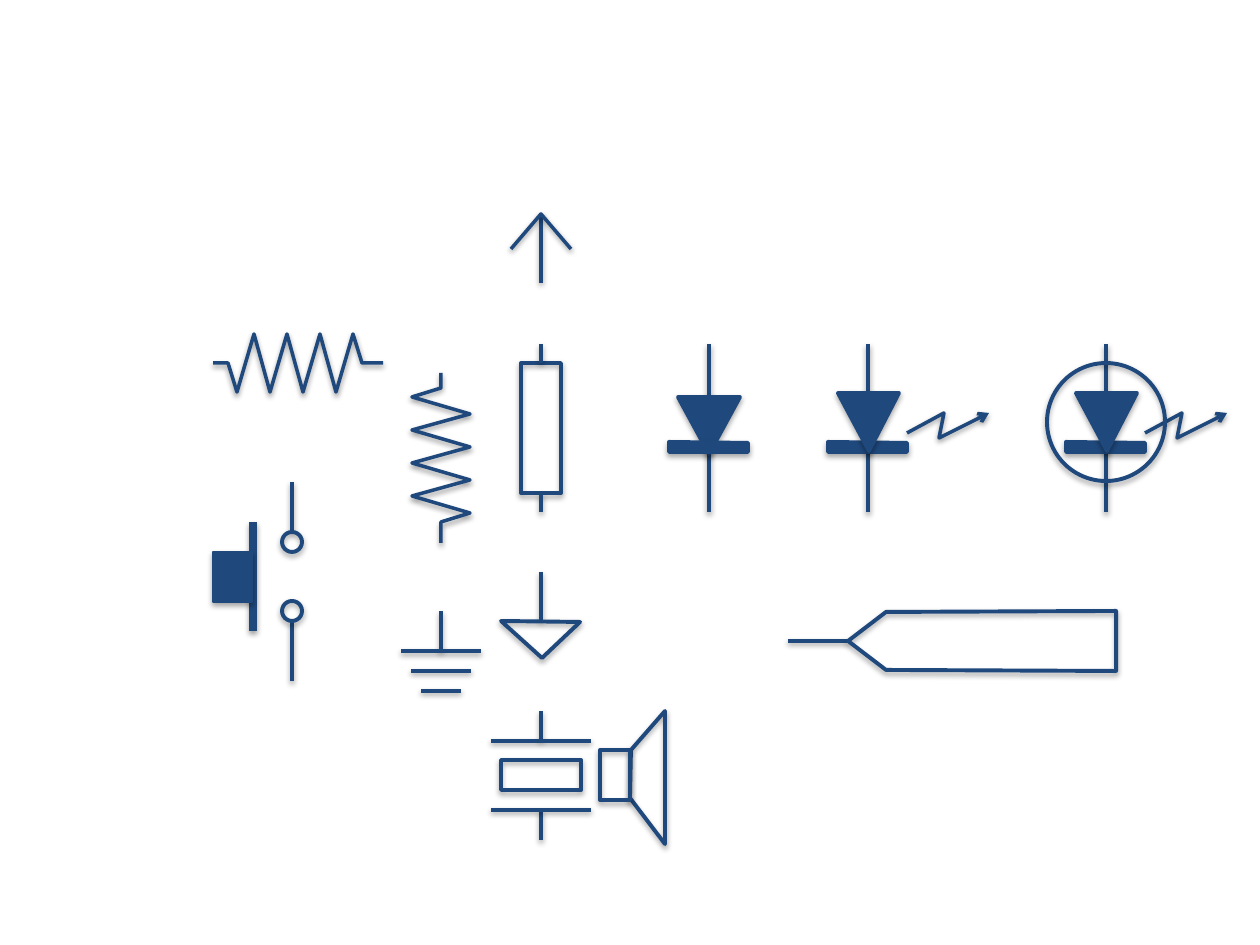
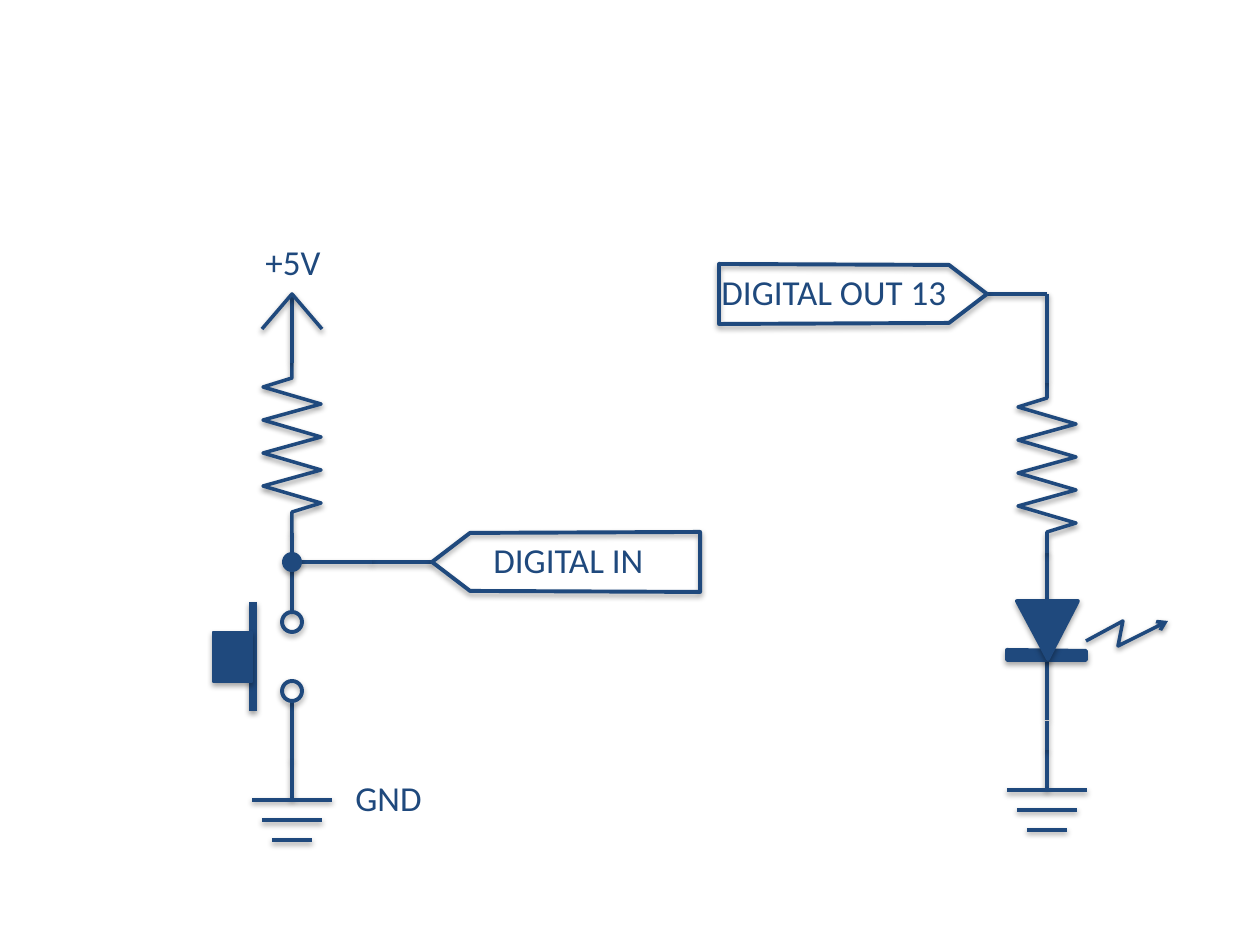
from lxml.etree import SubElement
from pptx import Presentation
from pptx.dml.color import RGBColor
from pptx.enum.shapes import MSO_CONNECTOR as Connector, MSO_SHAPE as Preset
from pptx.enum.text import MSO_AUTO_SIZE as AutoSize
from pptx.oxml.ns import qn
from pptx.util import Emu, Pt

PX = 914400 / 126
SLIDE_WIDTH, SLIDE_HEIGHT = 1260, 945
COLORS = {"ink": "1F497D", "shadow": "000000"}
FONT = "Calibri"
WIRE, OUTLINE = 2, 2.25
SOLID = {"filled": True}

# Each symbol is a list of (kind, px coordinates from its origin, style).
# line: x1, y1, x2, y2; rect and oval: left, top, width, height;
# path (open) and area (closed): a list of points.
ZIGZAG = [(0, 0), (0, 15),
          *[((-29, 29)[i % 2], round(24 + 116 * i / 7)) for i in range(8)],
          (0, 149), (0, 170)]
TAG = [(0, 0), (38, -29), (268, -30), (268, 30), (38, 29)]
CATHODE = ("area", [(-40, 98), (39, 99), (39, 108), (-40, 108)], SOLID)
DIODE_LEAD = ("line", (0, 0, 0, 168), {"width": OUTLINE})
LED = [
    DIODE_LEAD,
    CATHODE,
    ("path", [(39, 89), (76, 69), (71, 94), (121, 69)], {"arrow": True}),
    ("area", [(-30, 49), (31, 49), (1, 107)], SOLID),
]
SYMBOLS = {
    "resistor": [("path", ZIGZAG, {})],
    "resistor lying": [("path", [(y, -x) for x, y in ZIGZAG], {})],
    "resistor box": [
        ("rect", (-20, 19, 40, 130), {}),
        ("line", (0, 0, 0, 19), {}),
        ("line", (0, 149, 0, 168), {}),
    ],
    "diode": [
        DIODE_LEAD,
        ("area", [(-31, 53), (31, 53), (0, 110)], SOLID),
        CATHODE,
    ],
    "led": LED,
    "led in circle": [*LED, ("oval", (-59, 19, 118, 118), {})],
    "ground": [
        ("line", (0, 0, 0, 40), {}),
        *[("line", (-half, y, half, y), {})
          for half, y in ((40, 40), (30, 60), (20, 80))],
    ],
    "signal ground": [
        ("line", (0, 0, 0, 49), {}),
        ("area", [(-40, 49), (39, 50), (1, 86)], {}),
    ],
    "supply": [
        ("line", (0, 0, 0, 69), {}),
        ("path", [(-30, 35), (0, 0), (30, 35)], {}),
    ],
    "tag in": [("line", (-60, 0, 0, 0), {}), ("area", TAG, {})],
    "tag out": [
        ("line", (60, 0, 0, 0), {}),
        ("area", [(-x, y) for x, y in TAG], {}),
    ],
    "push button": [
        ("line", (0, 139, 0, 199), {}),
        ("line", (0, 0, 0, 50), {}),
        ("line", (-39, 40, -39, 149), {"width": 4.5}),
        ("rect", (-79, 70, 39, 50), {"filled": True, "width": 0.75}),
        ("oval", (-10, 50, 20, 20), {}),
        ("oval", (-10, 119, 20, 20), {}),
    ],
    "buzzer": [
        ("line", (0, 99, 0, 129), {}),
        ("rect", (-40, 49, 80, 30), {}),
        ("line", (0, 0, 0, 30), {}),
        ("line", (-50, 30, 50, 30), {}),
        ("line", (-50, 99, 50, 99), {}),
        ("area", [(90, 39), (124, 0), (124, 133), (89, 87)], {}),
        ("rect", (59, 39, 30, 50), {}),
    ],
}

LIBRARY = [
    ("resistor", 441, 373),
    ("resistor box", 541, 344),
    ("diode", 709, 344),
    ("led", 868, 344),
    ("led in circle", 1106, 344),
    ("ground", 441, 611),
    ("signal ground", 541, 572),
    ("supply", 541, 214),
    ("tag in", 848, 641),
    ("push button", 292, 482),
    ("resistor lying", 213, 363),
    ("buzzer", 541, 711),
]

CIRCUITS = [
    {
        "symbols": [("resistor", 292, 363), ("tag in", 432, 562),
                    ("push button", 292, 562), ("supply", 292, 294),
                    ("ground", 292, 760)],
        "wiring": [("line", (292, 533, 292, 562), {}),
                   ("line", (292, 562, 372, 562), {}),
                   ("oval", (282, 552, 20, 20), {"filled": True, "width": 0})],
        "labels": [("DIGITAL IN", (481, 532, 179, 55)),
                   ("+5V", (253, 234, 82, 55)),
                   ("GND", (343, 770, 92, 55))],
    },
    {
        "symbols": [("led", 1047, 552), ("tag out", 987, 294),
                    ("resistor", 1047, 383), ("ground", 1047, 750)],
        "wiring": [("line", (1047, 294, 1047, 383), {}),
                   ("line", (1047, 750, 1047, 721), {})],
        "labels": [("DIGITAL OUT 13", (709, 264, 255, 55))],
    },
]


def emu(*lengths):
    return [Emu(round(length * PX)) for length in lengths]


def ink():
    return RGBColor.from_string(COLORS["ink"])


def add_shadow(shape, alpha, distance):
    effects = SubElement(shape.element.spPr, qn("a:effectLst"))
    outer = SubElement(effects, qn("a:outerShdw"), blurRad="40000", dist=str(distance),
                       dir="5400000", rotWithShape="0")
    color = SubElement(outer, qn("a:srgbClr"), val=COLORS["shadow"])
    SubElement(color, qn("a:alpha"), val=str(alpha * 1000))


def add_stroke(shapes, kind, coords, dx=0, dy=0, width=None, filled=False, arrow=False):
    """Draw one part of a symbol whose origin lies at dx, dy."""
    is_open = kind in ("line", "path")
    if kind in ("path", "area"):
        points = [(x + dx, y + dy) for x, y in coords]
        outline = shapes.build_freeform(*points[0], scale=PX)
        outline.add_line_segments(points[1:], close=kind == "area")
        shape = outline.convert_to_shape()
    elif kind == "line":
        x1, y1, x2, y2 = coords
        shape = shapes.add_connector(Connector.STRAIGHT, *emu(x1 + dx, y1 + dy, x2 + dx, y2 + dy))
    else:
        left, top, w, h = coords
        preset = Preset.RECTANGLE if kind == "rect" else Preset.OVAL
        shape = shapes.add_shape(preset, *emu(left + dx, top + dy, w, h))

    if kind != "line":
        if filled:
            shape.fill.solid()
            shape.fill.fore_color.rgb = ink()
        else:
            shape.fill.background()
    if width == 0:
        shape.line.fill.background()
    else:
        shape.line.color.rgb = ink()
        shape.line.width = Pt(width or (WIRE if is_open else OUTLINE))
    if arrow:
        SubElement(shape.element.spPr.find(qn("a:ln")), qn("a:tailEnd"), type="arrow")
    add_shadow(shape, *((38, 20000) if is_open else (35, 23000)))
    return shape


def join_leads(strokes, drawn):
    """Connect each line that ends at the middle of a rectangle's side."""
    sides = {}
    for (kind, coords, _), shape in zip(strokes, drawn):
        if kind == "rect":
            x, y, w, h = coords
            middles = ((x + w / 2, y), (x, y + h / 2), (x + w / 2, y + h), (x + w, y + h / 2))
            sides.update({middle: (shape, site) for site, middle in enumerate(middles)})
    for (kind, coords, _), lead in zip(strokes, drawn):
        if kind == "line":
            if coords[:2] in sides:
                lead.begin_connect(*sides[coords[:2]])
            if coords[2:] in sides:
                lead.end_connect(*sides[coords[2:]])


def add_symbol(shapes, symbol, x, y):
    strokes = SYMBOLS[symbol]
    drawn = [add_stroke(shapes, kind, coords, x, y, **style) for kind, coords, style in strokes]
    join_leads(strokes, drawn)
    return drawn


def add_text(shapes, text, box, size=20, color="ink", font=FONT):
    label = shapes.add_textbox(*emu(*box))
    frame = label.text_frame
    frame.word_wrap = False
    frame.auto_size = AutoSize.SHAPE_TO_FIT_TEXT
    run = frame.paragraphs[0].add_run()
    run.text = text
    run.font.size = Pt(size)
    run.font.name = font
    run.font.color.rgb = RGBColor.from_string(COLORS[color])
    return label


def draw_library(shapes):
    for placement in LIBRARY:
        drawn = add_symbol(shapes, *placement)
        if len(drawn) > 1:
            shapes.add_group_shape(drawn)


def draw_circuits(shapes):
    for circuit in CIRCUITS:
        drawn = []
        for placement in circuit["symbols"]:
            drawn += add_symbol(shapes, *placement)
        for kind, coords, style in circuit["wiring"]:
            drawn.append(add_stroke(shapes, kind, coords, **style))
        for text, box in circuit["labels"]:
            drawn.append(add_text(shapes, text, box))
        shapes.add_group_shape(drawn)


def main():
    deck = Presentation()
    deck.slide_width, deck.slide_height = emu(SLIDE_WIDTH, SLIDE_HEIGHT)
    for draw in (draw_library, draw_circuits):
        draw(deck.slides.add_slide(deck.slide_layouts[6]).shapes)
    deck.save("out.pptx")


if __name__ == "__main__":
    main()
